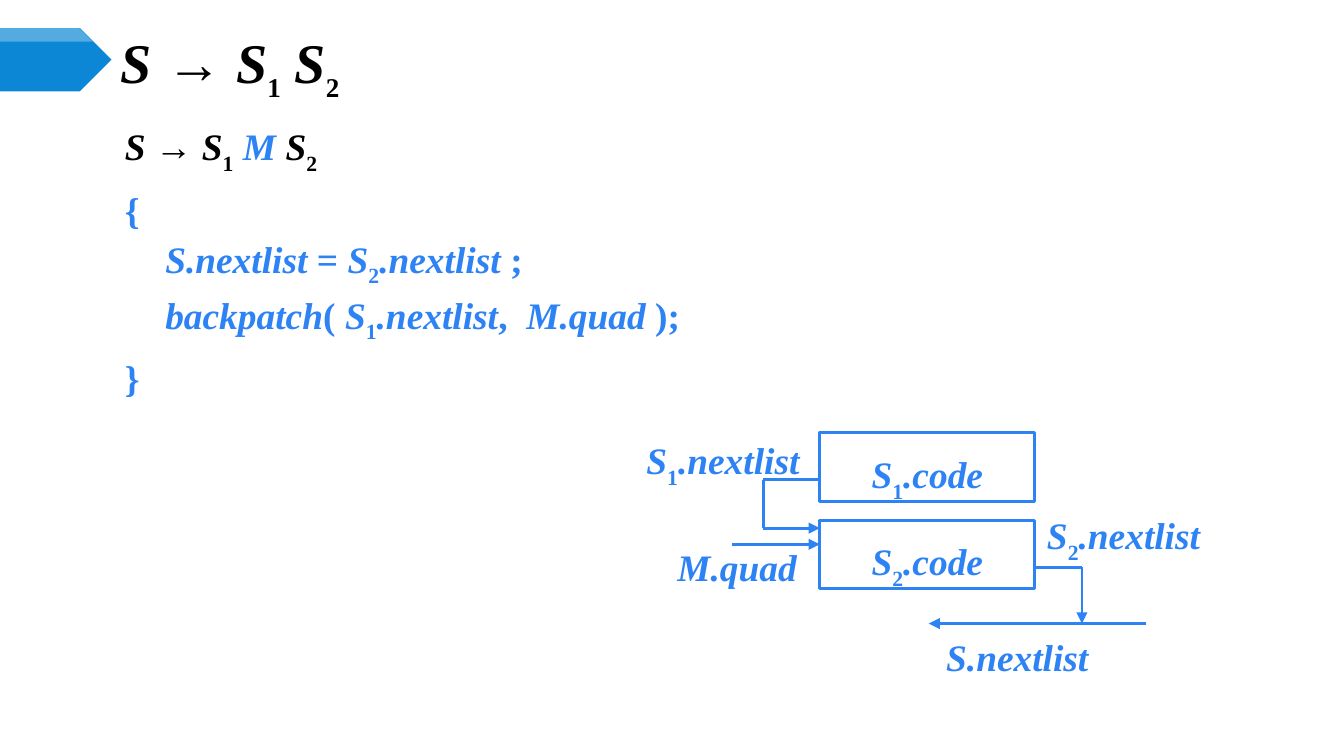
from lxml import etree
from pptx import Presentation
from pptx.dml.color import RGBColor
from pptx.enum.shapes import MSO_CONNECTOR, MSO_SHAPE
from pptx.enum.text import MSO_ANCHOR, MSO_AUTO_SIZE, PP_ALIGN
from pptx.oxml.ns import qn
from pptx.util import Inches, Pt

BLACK = RGBColor(0x00, 0x00, 0x00)
WHITE = RGBColor(0xFF, 0xFF, 0xFF)
BLUE = RGBColor(0x2D, 0x83, 0xF4)
BANNER = RGBColor(0x0B, 0x87, 0xD6)
LEFT, CENTER, RIGHT, JUSTIFY = PP_ALIGN.LEFT, PP_ALIGN.CENTER, PP_ALIGN.RIGHT, PP_ALIGN.JUSTIFY
TOP, MIDDLE = MSO_ANCHOR.TOP, MSO_ANCHOR.MIDDLE
NO_AUTOFIT = MSO_AUTO_SIZE.NONE
STRAIGHT = MSO_CONNECTOR.STRAIGHT
RECTANGLE, PENTAGON = MSO_SHAPE.RECTANGLE, MSO_SHAPE.PENTAGON
FONT = "Times New Roman"

ITALIC, UPRIGHT, MARKER = "italic", "upright", "marker"
SUB, SHALLOW_SUB = "sub", "shallow sub"
BASELINES = {SUB: -30, SHALLOW_SUB: -25}


def symbol(index, suffix, sub=SUB):
    return [("S", ITALIC), (index, sub), (suffix, ITALIC)]


TITLE = [("S ", ITALIC), ("→ ", UPRIGHT), *symbol("1", " S"), ("2", SUB)]
PRODUCTION = [("S ", ITALIC), ("→ ", UPRIGHT), ("S", ITALIC), ("1", SUB),
              (" M ", MARKER), ("S", ITALIC), ("2", SUB)]
ACTION = [
    (0, [("{", UPRIGHT)]),
    (0.3, [("S.nextlist", ITALIC), (" = ", UPRIGHT),
           *symbol("2", ".nextlist ", SHALLOW_SUB), ("; ", UPRIGHT)]),
    (0.3, [("backpatch", ITALIC), ("( ", UPRIGHT),
           *symbol("1", ".nextlist", SHALLOW_SUB),
           (",  ", UPRIGHT), ("M.quad", ITALIC), (" );", UPRIGHT)]),
    (0, [("} ", UPRIGHT)]),
]

BOX_LEFT, BOX_WIDTH, BOX_HEIGHT = 6.1, 1.6, 0.51
BOX_RIGHT = BOX_LEFT + BOX_WIDTH
BOX_TOPS = {"1": 3.22, "2": 3.87}
LOOP_X, EXIT_X = 5.68, 8.05
S1_EXIT_Y, S2_ENTRY_Y, QUAD_Y, S2_EXIT_Y, RESULT_Y = 3.57, 3.93, 4.05, 4.22, 4.64

LABELS = [
    ([("M.quad", ITALIC)], (4.97, 4.01, 1.06, 0.41), LEFT),
    ([("S.nextlist", ITALIC)], (6.97, 4.68, 1.51, 0.41), LEFT),
    (symbol("1", ".nextlist"), (4.6, 3.21, 1.42, 0.41), RIGHT),
    (symbol("2", ".nextlist"), (7.72, 3.77, 1.42, 0.41), LEFT),
]
PATHS = [
    [(BOX_LEFT + 0.17, S1_EXIT_Y), (LOOP_X, S1_EXIT_Y),
     (LOOP_X, S2_ENTRY_Y), (BOX_LEFT, S2_ENTRY_Y)],
    [(5.45, QUAD_Y), (BOX_LEFT, QUAD_Y)],
    [(BOX_RIGHT - 0.13, S2_EXIT_Y), (EXIT_X, S2_EXIT_Y), (EXIT_X, RESULT_Y)],
    [(8.53, RESULT_Y), (6.91, RESULT_Y)],
]

prs = Presentation()
prs.slide_width = Inches(10)
prs.slide_height = prs.slide_width * 9 // 16
slide = prs.slides.add_slide(prs.slide_layouts[5])
shapes = slide.shapes


def place(shape, bounds):
    shape.left, shape.top, shape.width, shape.height = map(Inches, bounds)


def write(frame, lines, *, color=BLUE, size=20, sub_size=20,
          align=LEFT, anchor=TOP, leading=None):
    frame.word_wrap = True
    frame.auto_size = NO_AUTOFIT
    frame.vertical_anchor = anchor
    frame.margin_left = frame.margin_right = Inches(0.07)
    frame.margin_top = frame.margin_bottom = Inches(0.04)
    for number, (indent, pieces) in enumerate(lines):
        paragraph = frame.add_paragraph() if number else frame.paragraphs[0]
        paragraph.alignment = align
        if leading:
            paragraph.line_spacing = Pt(leading)
        if indent:
            paragraph._p.get_or_add_pPr().set("marL", str(Inches(indent)))
        for text, style in pieces:
            run = paragraph.add_run()
            run.text = text
            font = run.font
            font.name, font.bold = FONT, True
            font.italic = style in (ITALIC, MARKER)
            font.size = Pt(sub_size if style in BASELINES else size)
            font.color.rgb = BLUE if style == MARKER or number else color
            if style in BASELINES:
                font._element.set("baseline", str(BASELINES[style] * 1000))


def paint(shape, fill):
    shape.shadow.inherit = False
    shape.fill.solid()
    shape.fill.fore_color.rgb = fill
    shape.line.fill.background()


def connect(start, end, arrow):
    line = shapes.add_connector(STRAIGHT, *map(Inches, (*start, *end)))
    line.line.color.rgb = BLUE
    line.line.width = Pt(1.5)
    if arrow:
        etree.SubElement(line.line._get_or_add_ln(), qn("a:tailEnd"), type="triangle")
    etree.SubElement(line._element.spPr, qn("a:effectLst"))


banner = shapes.add_shape(PENTAGON, *map(Inches, (0, 0.21, 0.83, 0.47)))
paint(banner, BANNER)

outline = shapes.build_freeform(0, Inches(0.21), scale=1.0)
outline.add_line_segments([(Inches(x), Inches(y)) for x, y in
                           [(0.59, 0.21), (0.69, 0.31), (0, 0.31)]])
highlight = outline.convert_to_shape()
paint(highlight, WHITE)
white = highlight._element.spPr.find(qn("a:solidFill"))[0]
etree.SubElement(white, qn("a:alpha"), val="30000")

title = shapes.title
place(title, (0.83, 0.29, 8.67, 0.39))
write(title.text_frame, [(0, TITLE)], color=BLACK, size=30, sub_size=25, anchor=MIDDLE)

rule = shapes.add_textbox(*map(Inches, (0.86, 0.85, 6.48, 3.53)))
write(rule.text_frame, [(0, PRODUCTION), *ACTION], color=BLACK, align=JUSTIFY, leading=30)

for pieces, bounds, align in LABELS:
    label = shapes.add_textbox(*map(Inches, bounds))
    write(label.text_frame, [(0, pieces)], align=align)

for points in PATHS:
    legs = list(zip(points, points[1:]))
    for number, (start, end) in enumerate(legs, 1):
        connect(start, end, arrow=number == len(legs))

for index, top in BOX_TOPS.items():
    box = shapes.add_shape(RECTANGLE, *map(Inches, (BOX_LEFT, top, BOX_WIDTH, BOX_HEIGHT)))
    paint(box, WHITE)
    box.line.color.rgb = BLUE
    box.line.width = Pt(1.5)
    write(box.text_frame, [(0, symbol(index, ".code"))], align=CENTER, leading=35)

prs.save("out.pptx")
